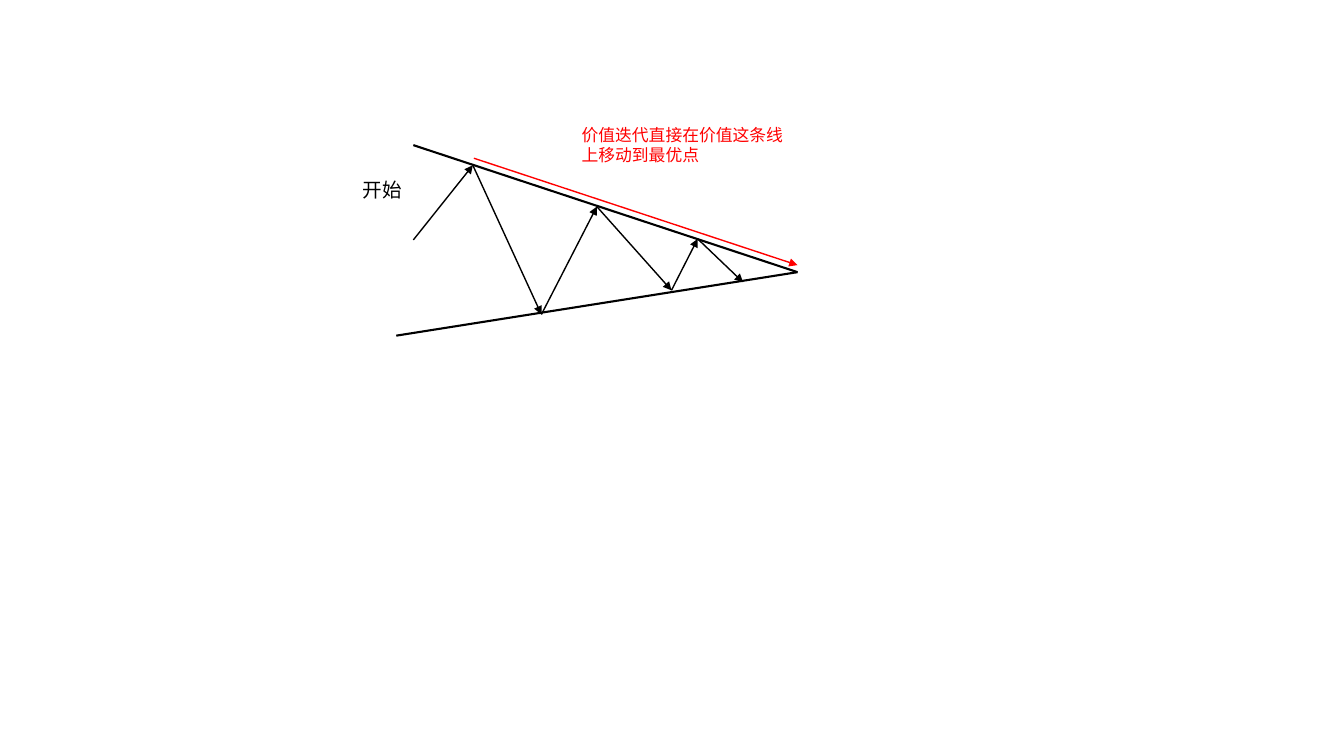
from itertools import pairwise

from pptx import Presentation
from pptx import util as u
from pptx.dml.color import RGBColor
from pptx.enum import shapes, text
from pptx.oxml.ns import qn
from lxml import etree

COLORS = {"ink": "000000", "accent": "FF0000"}
FONT = "Noto Sans CJK SC"


def add_line(slide, box, start, end, color="ink", width=1, arrow=True):
    left, top = box[:2]
    line = slide.shapes.add_connector(
        shapes.MSO_CONNECTOR.STRAIGHT,
        u.Inches(left + start[0]), u.Inches(top + start[1]),
        u.Inches(left + end[0]), u.Inches(top + end[1]))
    line.line.color.rgb = RGBColor.from_string(COLORS[color])
    line.line.width = u.Pt(width)
    if arrow:
        etree.SubElement(line.line._get_or_add_ln(), qn("a:tailEnd"), type="triangle")
    etree.SubElement(line._element.spPr, qn("a:effectLst"))


def add_label(slide, box, wording, size, color="ink", wrap=True):
    label = slide.shapes.add_textbox(*(u.Inches(length) for length in box))
    frame = label.text_frame
    frame.text = wording
    frame.word_wrap = wrap
    frame.auto_size = text.MSO_AUTO_SIZE.SHAPE_TO_FIT_TEXT
    run = frame.paragraphs[0].runs[0]
    run.font.size = u.Pt(size)
    run.font.name = FONT
    run.font.color.rgb = RGBColor.from_string(COLORS[color])
    etree.SubElement(run.font._element, qn("a:ea"), typeface=FONT)


def draw_convergence(slide, box):
    left, top = box[:2]
    optimum = (4.41, 1.51)
    policy_start, value_start = (0.43, 2.14), (0.6, 0.25)
    for start in (policy_start, value_start):
        add_line(slide, box, start, optimum, width=1.5, arrow=False)

    policy_iteration = [(0.6, 1.19), (1.19, 0.45), (1.87, 1.93), (2.42, 0.86),
                        (3.16, 1.69), (3.42, 1.18), (3.87, 1.61)]
    for start, end in pairwise(policy_iteration):
        add_line(slide, box, start, end)
    add_line(slide, box, (1.2, 0.38), (4.41, 1.44), color="accent")

    add_label(slide, (left, top + 0.53, 0.59, 0.34), "开始", 14, wrap=False)
    add_label(slide, (left + 2.17, top, 2.22, 0.5),
              "价值迭代直接在价值这条线上移动到最优点", 12, color="accent")


def main():
    deck = Presentation()
    deck.slide_width, deck.slide_height = u.Inches(13.33), u.Inches(7.5)
    slide = deck.slides.add_slide(deck.slide_layouts[6])
    draw_convergence(slide, (3.5, 1.19, 4.41, 2.14))
    deck.save("out.pptx")


if __name__ == "__main__":
    main()
